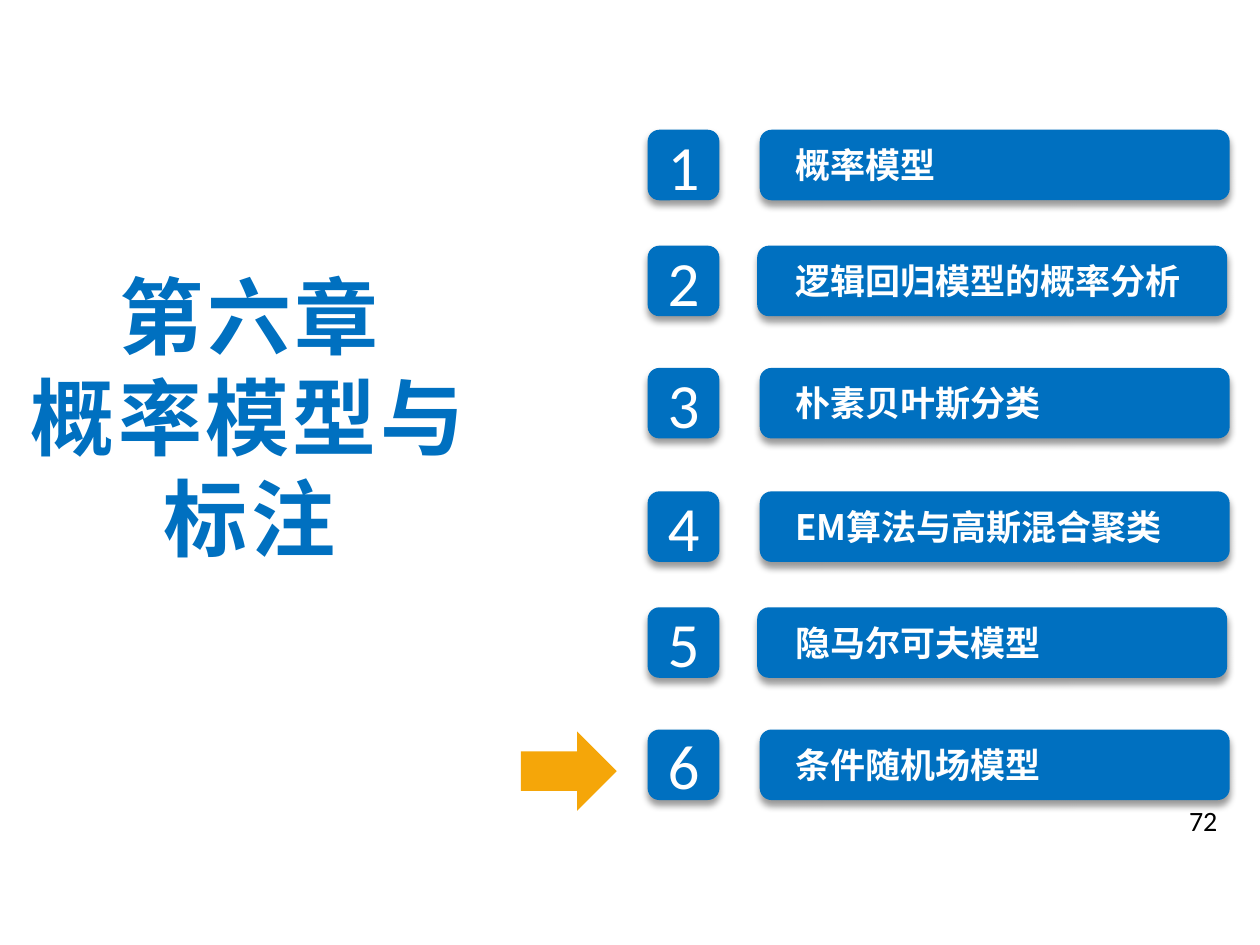
from lxml import etree
from pptx import Presentation
from pptx.dml.color import RGBColor
from pptx.enum.shapes import MSO_SHAPE as Shape
from pptx.enum.text import MSO_ANCHOR as Anchor, PP_ALIGN as Align
from pptx.oxml import parse_xml
from pptx.oxml.ns import nsdecls, qn
from pptx.util import Inches, Pt

BLUE = RGBColor(0x00, 0x70, 0xC0)
ORANGE = RGBColor(0xF5, 0xA6, 0x09)
WHITE = RGBColor(0xFF, 0xFF, 0xFF)
BLACK = RGBColor(0x00, 0x00, 0x00)
LATIN, CHINESE = "Calibri", "Noto Sans CJK SC"
WIDE_INSETS = (0.13, 0.07)

SHADOW = (
    f'<a:effectLst {nsdecls("a")}><a:outerShdw blurRad="{Pt(4)}" dist="{Pt(3)}" '
    'dir="5400000" rotWithShape="0"><a:srgbClr val="000000">'
    '<a:alpha val="40000"/></a:srgbClr></a:outerShdw></a:effectLst>'
)


def write(shape, text, *, size, color, font=CHINESE, bold=False, align=Align.LEFT,
          anchor=Anchor.TOP, insets=WIDE_INSETS, spacing=0):
    """Fill a shape with text, one paragraph for each line."""
    frame = shape.text_frame
    frame.word_wrap = True
    frame.vertical_anchor = anchor
    frame.margin_left = frame.margin_right = Inches(insets[0])
    frame.margin_top = frame.margin_bottom = Inches(insets[1])
    frame.text = text
    for paragraph in frame.paragraphs:
        paragraph.alignment = align
        for run in paragraph.runs:
            run.font.size = Pt(size)
            run.font.bold = bold
            run.font.name = font
            run.font.color.rgb = color
            properties = run.font._element
            etree.SubElement(properties, qn("a:ea"), typeface=font)
            if spacing:
                properties.set("spc", str(spacing * 100))


class ChapterSlide:
    def __init__(self, presentation):
        self.slide = presentation.slides.add_slide(presentation.slide_layouts[6])
        self.shapes = self.slide.shapes

    def block(self, kind, box, color, shadow=False, parent=None):
        shape = (parent or self.shapes).add_shape(kind, *map(Inches, box))
        shape.fill.solid()
        shape.fill.fore_color.rgb = color
        shape.line.fill.background()
        shape.shadow.inherit = False
        if shadow:
            properties = shape._element.spPr
            properties.replace(properties.find(qn("a:effectLst")), parse_xml(SHADOW))
        return shape

    def label(self, box, text, parent=None, **style):
        write((parent or self.shapes).add_textbox(*map(Inches, box)), text, **style)

    def agenda_item(self, number, top, bar_left, topic):
        badge = self.block(Shape.ROUNDED_RECTANGLE, (5.14, top, 0.57, 0.56), BLUE,
                           shadow=True)
        write(badge, str(number), size=36, color=WHITE, font=LATIN,
              align=Align.CENTER, anchor=Anchor.MIDDLE)
        entry = self.shapes.add_group_shape().shapes
        self.block(Shape.ROUNDED_RECTANGLE, (bar_left, top, 3.73, 0.56), BLUE,
                   shadow=True, parent=entry)
        self.label((6.18, top + 0.04, 3.48, 0.47), topic, parent=entry,
                   size=20, color=WHITE, bold=True)

    def pointer(self, box):
        self.block(Shape.DOWN_ARROW, box, ORANGE).rotation = 270


def main():
    presentation = Presentation()
    presentation.slide_width, presentation.slide_height = Inches(10), Inches(7.5)
    chapter = ChapterSlide(presentation)

    # Chapter title
    chapter.label((0, 2.03, 3.96, 2.56), "第六章\n概率模型与标注", size=48,
                  color=BLUE, bold=True, align=Align.CENTER, spacing=2)

    # Agenda: two halves with the same rhythm
    topics = ["概率模型", "逻辑回归模型的概率分析", "朴素贝叶斯分类",
              "EM算法与高斯混合聚类", "隐马尔可夫模型", "条件随机场模型"]
    offsets = (0, 0.92, 1.89)
    bar_lefts = (6.03, 6.01, 6.03)
    for index, topic in enumerate(topics):
        half, row = divmod(index, 3)
        top = 1.03 + half * 2.87 + offsets[row]
        chapter.agenda_item(index + 1, top, bar_lefts[row], topic)

    # Current section and page number
    chapter.pointer((4.2, 5.74, 0.63, 0.76))
    chapter.label((7.43, 6.33, 2.33, 0.3), "72", size=16, color=BLACK, font=LATIN,
                  align=Align.RIGHT, insets=(0.1, 0.05))

    presentation.save("out.pptx")


if __name__ == "__main__":
    main()
